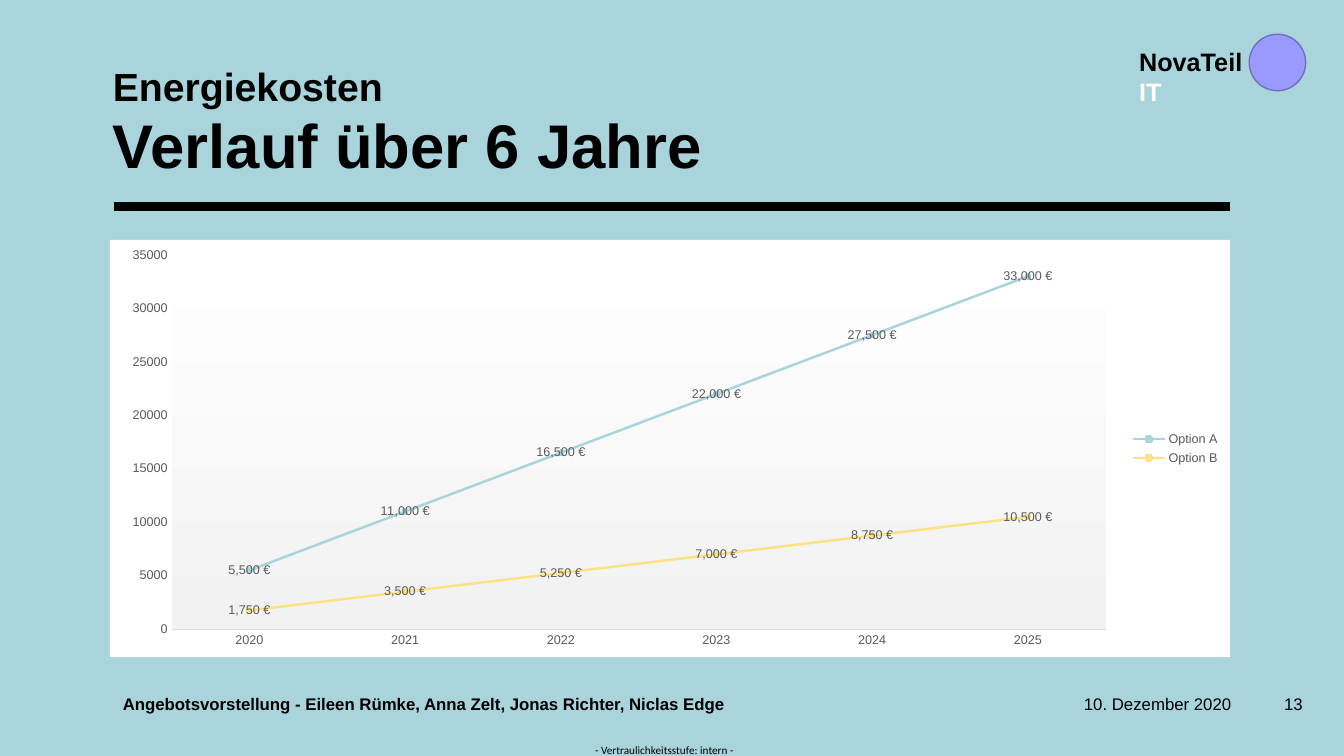
from dataclasses import dataclass
from typing import Any

from lxml.etree import SubElement
from pptx import Presentation
from pptx.chart.data import CategoryChartData
from pptx.dml.color import RGBColor
from pptx.enum.chart import (XL_CHART_TYPE, XL_LABEL_POSITION, XL_LEGEND_POSITION,
                             XL_MARKER_STYLE, XL_TICK_MARK)
from pptx.enum.shapes import MSO_CONNECTOR, MSO_SHAPE
from pptx.enum.text import MSO_ANCHOR, PP_ALIGN
from pptx.oxml import parse_xml
from pptx.oxml.ns import nsdecls, qn
from pptx.util import Inches, Pt

WIDTH, HEIGHT = Inches(13.33), Inches(7.5)
BLACK, WHITE, GRAY, TEAL = "000000", "FFFFFF", "595959", "A9D4DB"
STANDARD_INSETS = (0.1, 0.05, 0.1, 0.05)


@dataclass
class Area:
    """Left, top, width and height in percent of the slide."""
    left: float
    top: float
    width: float
    height: float

    def lengths(self) -> tuple[int, int, int, int]:
        return (int(WIDTH * self.left / 100), int(HEIGHT * self.top / 100),
                int(WIDTH * self.width / 100), int(HEIGHT * self.height / 100))


@dataclass
class Line:
    text: str
    size: float
    bold: bool = False
    color: str = BLACK
    font: str = "Arial"


@dataclass
class TextBlock:
    area: Area
    lines: list[Line]
    align: Any = PP_ALIGN.LEFT
    anchor: Any = MSO_ANCHOR.MIDDLE
    insets: tuple[float, ...] = STANDARD_INSETS
    spacing: float = 1.0


@dataclass
class CostSeries:
    name: str
    yearly_cost: int
    color: str


YEARS = range(2020, 2026)
COSTS = [CostSeries("Option A", 5500, TEAL), CostSeries("Option B", 1750, "FBE284")]

FOOTER_TOP, FOOTER_HEIGHT = 91.73, 2.67
TEXTS = [
    TextBlock(Area(44.04, 98.27, 10.8, 1.73),
              [Line("- Vertraulichkeitsstufe: intern -", 8, font="Calibri")],
              PP_ALIGN.CENTER, MSO_ANCHOR.TOP, (0, 0, 0, 0)),
    TextBlock(Area(8.4, 5.6, 64.07, 18.4),
              [Line("Energiekosten", 28, True), Line("Verlauf über 6 Jahre", 44, True)],
              anchor=MSO_ANCHOR.BOTTOM, insets=(0, 0, 0, 0), spacing=0.9),
    TextBlock(Area(80.65, FOOTER_TOP, 12.53, FOOTER_HEIGHT),
              [Line("10. Dezember 2020", 12)], insets=(0, 0.05, 0, 0.05)),
    TextBlock(Area(8.4, FOOTER_TOP, 71.64, FOOTER_HEIGHT),
              [Line("Angebotsvorstellung - Eileen Rümke, Anna Zelt, Jonas Richter, "
                    "Niclas Edge", 12, True)]),
    TextBlock(Area(94.3, FOOTER_TOP, 3.38, FOOTER_HEIGHT), [Line("13", 12)], PP_ALIGN.RIGHT),
    TextBlock(Area(84.02, 5.47, 11.78, 5.33),
              [Line("NovaTeil", 18, True), Line("IT", 18, True, WHITE)],
              anchor=MSO_ANCHOR.TOP),
]


def rgb(color: str) -> RGBColor:
    return RGBColor.from_string(color)


def apply(target: Any, formats: dict[str, Any]) -> None:
    for name, value in formats.items():
        setattr(target, name, value)


def fill_with(fill: Any, color: str) -> None:
    fill.solid()
    fill.fore_color.rgb = rgb(color)


def style_font(font: Any, size: float, color: str, name: str = "Arial",
               bold: bool = False) -> None:
    apply(font, {"size": Pt(size), "name": name, "bold": bold})
    font.color.rgb = rgb(color)


def style_line(line: Any, color: str, width: float) -> None:
    line.color.rgb = rgb(color)
    line.width = Pt(width)


def add_plain_shape(slide: Any, kind: Any, area: Area, color: str, outline: str = "") -> None:
    shape = slide.shapes.add_shape(kind, *area.lengths())
    shape.shadow.inherit = False
    fill_with(shape.fill, color)
    if outline:
        style_line(shape.line, outline, 1)
    else:
        shape.line.fill.background()


def add_run(paragraph: Any, text: str, line: Line) -> None:
    run = paragraph.add_run()
    run.text = text
    style_font(run.font, line.size, line.color, line.font, line.bold)


def add_text(slide: Any, block: TextBlock) -> None:
    frame = slide.shapes.add_textbox(*block.area.lengths()).text_frame
    left, top, right, bottom = map(Inches, block.insets)
    apply(frame, {"word_wrap": True, "vertical_anchor": block.anchor, "margin_left": left,
                  "margin_top": top, "margin_right": right, "margin_bottom": bottom})
    paragraph = frame.paragraphs[0]
    apply(paragraph, {"alignment": block.align, "line_spacing": block.spacing})
    for index, line in enumerate(block.lines):
        if index:
            # The space before the break takes the size of the next line
            add_run(paragraph, " ", line)
            paragraph.add_line_break()
        add_run(paragraph, line.text, line)


def add_rule(slide: Any, area: Area) -> None:
    left, top, width, _ = area.lengths()
    rule = slide.shapes.add_connector(MSO_CONNECTOR.STRAIGHT, left, top, left + width, top)
    style_line(rule.line, BLACK, 6)
    SubElement(rule.element.spPr, qn("a:effectLst"))


def style_chart_areas(chart: Any) -> None:
    """Place the plot and fill the chart and plot backgrounds."""
    names = nsdecls("c", "a")
    chart_part = chart.element.find(qn("c:chart"))
    chart_part.addnext(parse_xml(
        f'<c:spPr {names}><a:solidFill><a:srgbClr val="{WHITE}"/></a:solidFill>'
        '<a:ln><a:noFill/></a:ln></c:spPr>'))
    plot_area = chart_part.find(qn("c:plotArea"))
    for layout in plot_area.findall(qn("c:layout")):
        plot_area.remove(layout)
    modes = "".join(f'<c:{axis}Mode val="edge"/>' for axis in "xy")
    shares = {"x": 0.055, "y": 0.036, "w": 0.834, "h": 0.897}
    places = "".join(f'<c:{key} val="{share}"/>' for key, share in shares.items())
    plot_area.insert(0, parse_xml(
        f'<c:layout {names}><c:manualLayout><c:layoutTarget val="inner"/>'
        f'{modes}{places}</c:manualLayout></c:layout>'))
    plot_area.append(parse_xml(
        f'<c:spPr {names}><a:gradFill><a:gsLst>'
        f'<a:gs pos="0"><a:srgbClr val="{WHITE}"/></a:gs>'
        '<a:gs pos="100000"><a:srgbClr val="F2F2F2"/></a:gs>'
        '</a:gsLst><a:lin ang="5400000" scaled="0"/></a:gradFill></c:spPr>'))


def add_cost_chart(slide: Any, area: Area) -> None:
    data = CategoryChartData()
    data.categories = [str(year) for year in YEARS]
    for cost in COSTS:
        data.add_series(cost.name, [cost.yearly_cost * n for n in range(1, len(YEARS) + 1)])
    chart = slide.shapes.add_chart(XL_CHART_TYPE.LINE_MARKERS, *area.lengths(), data).chart
    style_font(chart.font, 10, GRAY)
    apply(chart, {"has_title": False, "has_legend": True})
    apply(chart.legend, {"position": XL_LEGEND_POSITION.RIGHT, "include_in_layout": False})
    style_font(chart.legend.font, 9, GRAY)
    for axis in (chart.category_axis, chart.value_axis):
        apply(axis, {"major_tick_mark": XL_TICK_MARK.NONE, "has_major_gridlines": False,
                     "minor_tick_mark": XL_TICK_MARK.NONE})
        style_font(axis.tick_labels.font, 9, GRAY)
    style_line(chart.category_axis.format.line, "D9D9D9", 0.75)
    apply(chart.value_axis, {"minimum_scale": 0, "maximum_scale": 35000, "major_unit": 5000})
    chart.value_axis.format.line.fill.background()
    for series, cost in zip(chart.plots[0].series, COSTS):
        series.smooth = False
        style_line(series.format.line, cost.color, 1.75)
        apply(series.marker, {"style": XL_MARKER_STYLE.CIRCLE, "size": 4})
        fill_with(series.marker.format.fill, cost.color)
        style_line(series.marker.format.line, cost.color, 0.75)
        apply(series.data_labels, {"show_value": True, "position": XL_LABEL_POSITION.CENTER,
                                   "number_format": '#,##0\\ "€"',
                                   "number_format_is_linked": False})
        style_font(series.data_labels.font, 9, GRAY)
    style_chart_areas(chart)


def main() -> None:
    presentation = Presentation()
    apply(presentation, {"slide_width": WIDTH, "slide_height": HEIGHT})
    slide = presentation.slides.add_slide(presentation.slide_layouts[6])
    # Background and rule
    fill_with(slide.background.fill, "A9D4DC")
    add_plain_shape(slide, MSO_SHAPE.RECTANGLE, Area(0, 0, 91.52, 84.8), TEAL)
    add_rule(slide, Area(8.48, 27.33, 83.04, 0))
    # Title, footer and sender
    for block in TEXTS:
        add_text(slide, block)
    add_plain_shape(slide, MSO_SHAPE.OVAL, Area(92.95, 4.53, 4.2, 7.47), "9999FF", "706FBB")
    # Cost chart
    add_cost_chart(slide, Area(8.18, 31.73, 83.35, 55.2))
    presentation.save("out.pptx")


if __name__ == "__main__":
    main()
